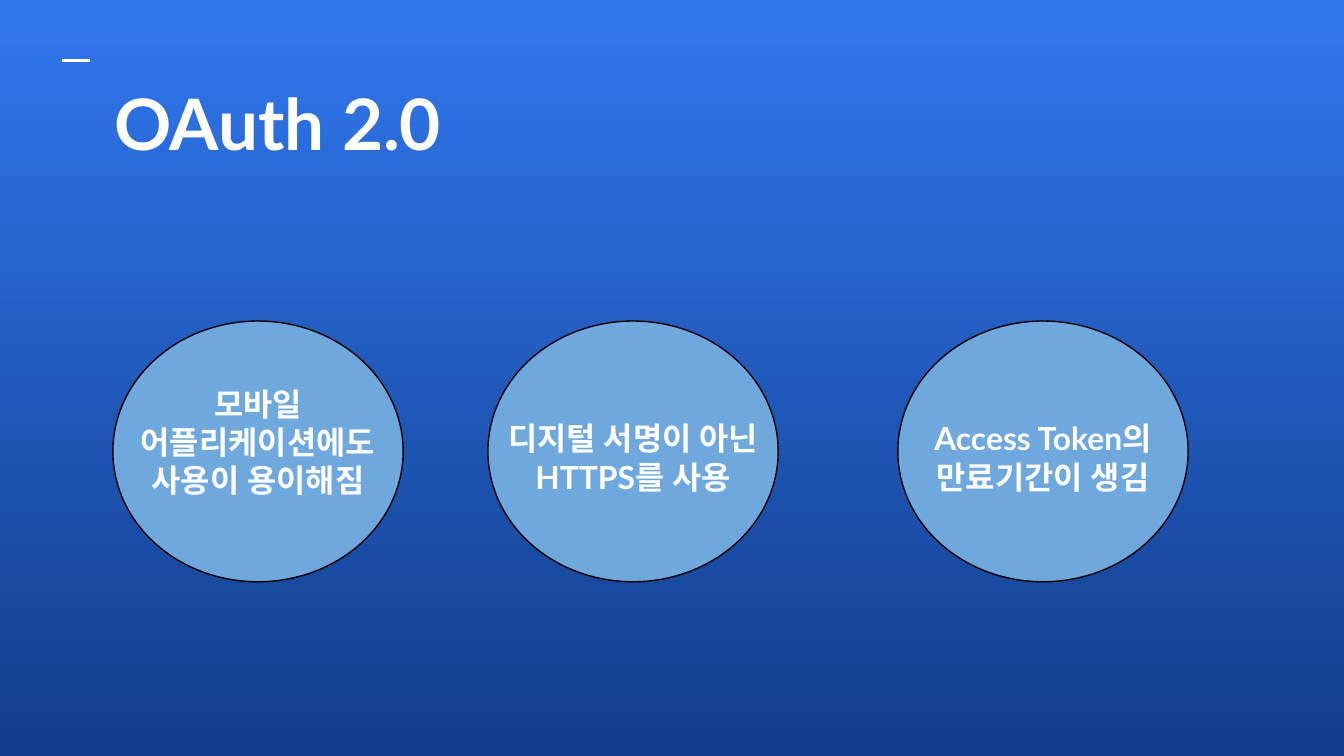
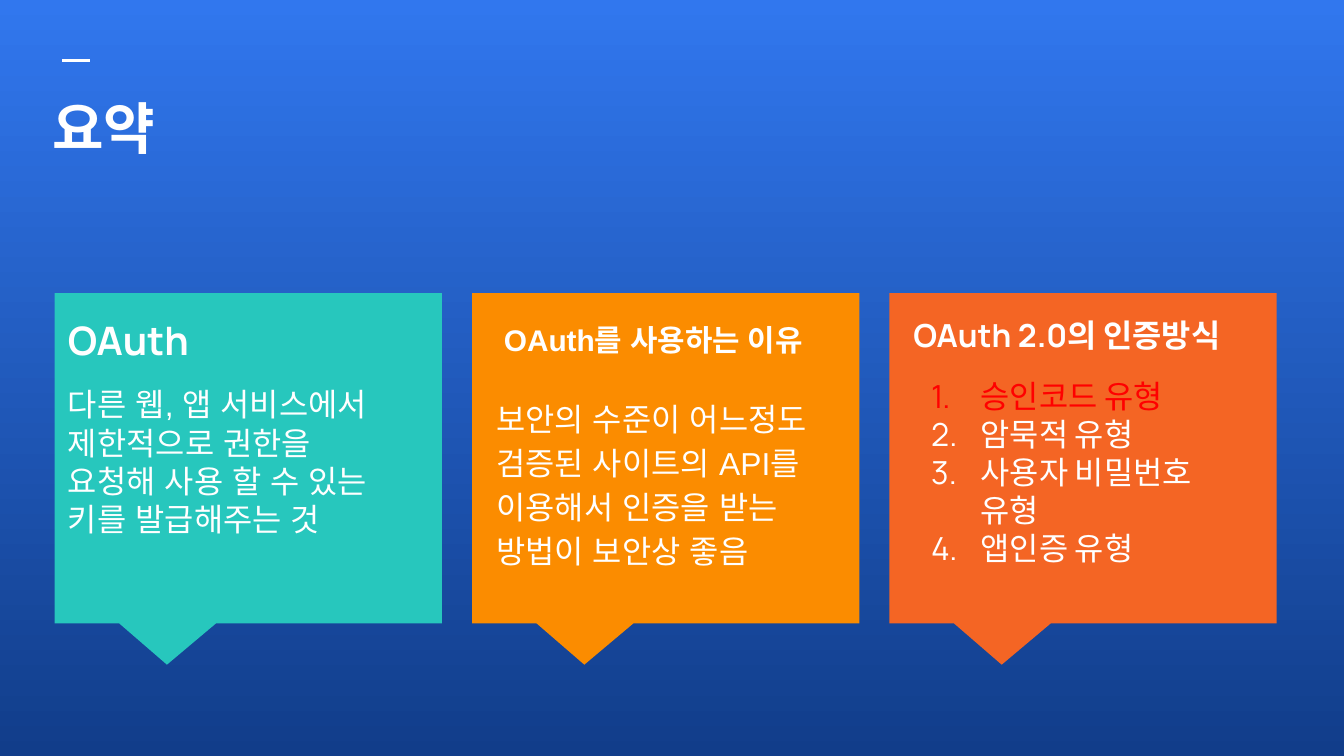
from dataclasses import dataclass
from typing import Any, NamedTuple, Optional

from lxml import etree
from pptx import Presentation
from pptx import util as u
from pptx.dml.color import RGBColor
from pptx.enum import shapes, text
from pptx.oxml import ns

HUES = {
    "top": "3177EE",
    "base": "113D8A",
    "white": "FFFFFF",
    "black": "000000",
    "red": "FF0000",
    "sky": "6FA8DC",
    "teal": "27C7BD",
    "amber": "FB8C00",
    "coral": "F46524",
}


class Box(NamedTuple):
    left: float
    top: float
    width: float
    height: float

    def sizes(self) -> list[int]:
        return [u.Pt(side) for side in self]


@dataclass(frozen=True)
class Para:
    words: str
    size: float
    font: str
    bold: bool = False
    hue: str = "white"
    before: float = 0
    lines: Optional[float] = None
    center: bool = False
    indent: float = 0
    number: bool = False


@dataclass(frozen=True)
class Circle:
    left: float
    top: float
    width: float
    words: str


@dataclass(frozen=True)
class Card:
    hue: str
    shift: float
    paras: tuple[Para, ...]


DISC = Box(60.5, 172, 155.5, 139.7)
CIRCLES = (
    Circle(60.5, 198.7, 158, "모바일 어플리케이션에도 사용이 용이해짐"),
    Circle(261.4, 217.4, 176, "디지털 서명이 아닌 HTTPS를 사용"),
    Circle(481, 217.4, 158, "Access Token의 만료기간이 생김"),
)

CARD = Box(29.3, 157, 207.4, 177)
NOTE = Box(29.3, 162, 195, 157.7)
STEP = 223.6
CARDS = (
    Card("teal", 0, (
        Para("OAuth", 21, "Manrope", bold=True),
        Para("다른 웹, 앱 서비스에서 제한적으로 권한을 요청해 사용 할 수 있는 "
             "키를 발급해주는 것", 17, "Arial", before=12),
    )),
    Card("amber", 5.8, (
        Para("OAuth를 사용하는 이유", 16, "Arial", bold=True, lines=1.15, indent=4.2),
        Para("보안의 수준이 어느정도 검증된 사이트의 API를 이용해서 인증을 받는 "
             "방법이 보안상 좋음", 17, "Arial", before=20, lines=1.15),
    )),
    Card("coral", 5.8, (
        Para("OAuth 2.0의 인증방식", 17, "Manrope", bold=True),
        Para("승인코드 유형", 17, "Manrope", hue="red", before=12, number=True),
        *(Para(words, 17, "Manrope", number=True)
          for words in ("암묵적 유형", "사용자 비밀번호 유형", "앱인증 유형")),
    )),
)


def tint(name: str) -> RGBColor:
    return RGBColor.from_string(HUES[name])


def child(node: Any, tag: str, **attrs: str) -> Any:
    return etree.SubElement(node, ns.qn(tag), attrs)


def add_para(para: Any, item: Para) -> None:
    para.space_before = u.Pt(item.before)
    if item.lines:
        para.line_spacing = item.lines
    if item.center:
        para.alignment = text.PP_ALIGN.CENTER
    props = para._p.get_or_add_pPr()
    if item.indent:
        props.set("indent", str(u.Pt(item.indent)))
    if item.number:
        props.set("marL", str(u.Pt(36)))
        props.set("indent", str(u.Pt(-26.5)))
        child(child(props, "a:buClr"), "a:srgbClr", val=HUES[item.hue])
        child(props, "a:buFont", typeface=item.font)
        child(props, "a:buAutoNum", type="arabicPeriod")
    run = para.add_run()
    run.text = item.words
    font = run.font
    font.size, font.bold, font.name = u.Pt(item.size), item.bold, item.font
    font.color.rgb = tint(item.hue)
    child(run._r.get_or_add_rPr(), "a:ea", typeface=item.font)


def add_text(tree: Any, box: Box, paras: tuple[Para, ...]) -> None:
    frame = tree.add_textbox(*box.sizes()).text_frame
    frame.word_wrap = True
    frame.vertical_anchor = text.MSO_ANCHOR.TOP
    frame.margin_left = frame.margin_right = u.Pt(7.2)
    frame.margin_top = frame.margin_bottom = u.Pt(7.2)
    for index, item in enumerate(paras):
        para = frame.add_paragraph() if index else frame.paragraphs[0]
        add_para(para, item)


def add_form(tree: Any, kind: Any, box: Box, hue: str) -> Any:
    form = tree.add_shape(kind, *box.sizes())
    form.shadow.inherit = False
    form.fill.solid()
    form.fill.fore_color.rgb = tint(hue)
    form.line.fill.background()
    return form


def add_slide(deck: Any, title: Para, box: Box) -> Any:
    slide = deck.slides.add_slide(deck.slide_layouts[6])
    fill = slide.background.fill
    fill.gradient()
    fill.gradient_angle = 270
    for stop, spot, hue in zip(fill.gradient_stops, (0, 1), ("top", "base")):
        stop.position = spot
        stop.color.rgb = tint(hue)
    dash = slide.shapes.add_connector(
        shapes.MSO_CONNECTOR.STRAIGHT, u.Pt(33.5), u.Pt(32.5), u.Pt(48), u.Pt(32.5))
    dash.line.color.rgb = tint("white")
    dash.line.width = u.Pt(1.5)
    child(dash._element.spPr, "a:effectLst")
    add_text(slide.shapes, box, (title,))
    return slide


def add_circle(slide: Any, item: Circle) -> None:
    tree = slide.shapes.add_group_shape().shapes
    disc = DISC._replace(left=item.left)
    form = add_form(tree, shapes.MSO_SHAPE.OVAL, disc, "sky")
    form.line.color.rgb = tint("black")
    form.line.width = u.Pt(0.75)
    left = disc.left + (disc.width - item.width) / 2
    box = Box(left, item.top, item.width, 95)
    add_text(tree, box, (Para(item.words, 17, "Lato", bold=True, center=True),))


def add_card(slide: Any, item: Card, index: int) -> None:
    box = CARD._replace(left=CARD.left + index * STEP)
    form = add_form(slide.shapes, shapes.MSO_SHAPE.RECTANGULAR_CALLOUT, box, item.hue)
    form.adjustments[0] = -0.21
    form.adjustments[1] = 0.625
    note = NOTE._replace(left=box.left + item.shift)
    add_text(slide.shapes, note, item.paras)


def main() -> None:
    deck = Presentation()
    deck.slide_width, deck.slide_height = u.Pt(720), u.Pt(405)
    slide = add_slide(deck, Para("OAuth 2.0", 38, "Lato", bold=True),
                      Box(54, 35.5, 325.5, 38))
    for item in CIRCLES:
        add_circle(slide, item)
    slide = add_slide(deck, Para("요약", 30, "Manrope", bold=True),
                      Box(21, 43, 679, 80.5))
    for index, item in enumerate(CARDS):
        add_card(slide, item, index)
    deck.save("out.pptx")


if __name__ == "__main__":
    main()
